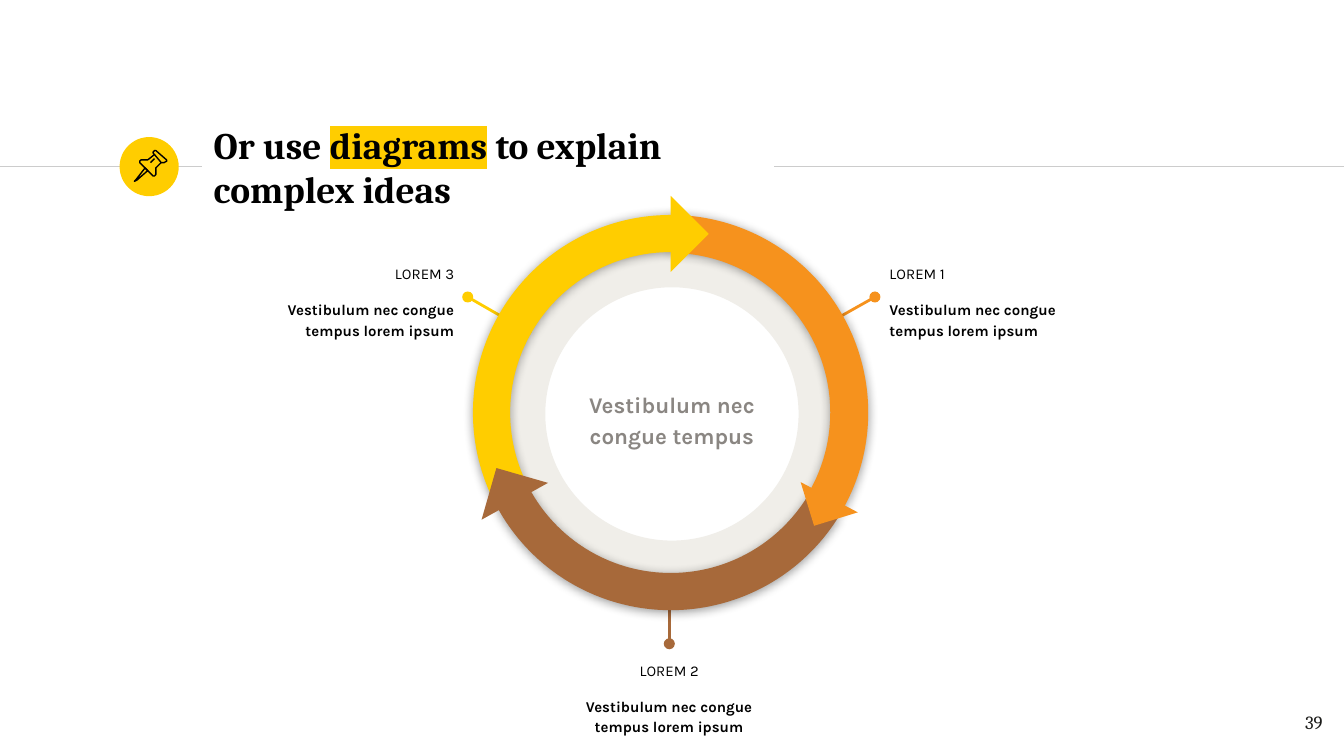
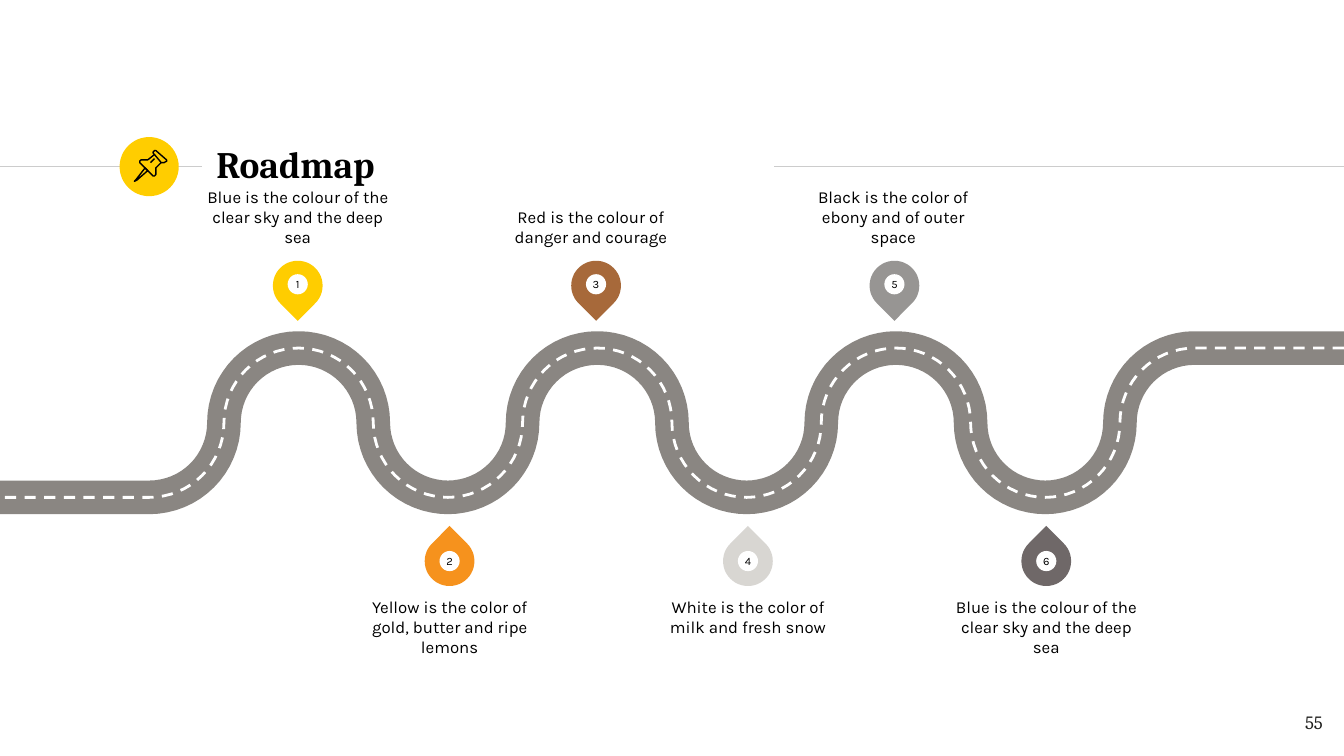
from dataclasses import dataclass
from math import cos, pi, sin
from typing import NamedTuple

from lxml import etree
from pptx import Presentation
from pptx.dml.color import RGBColor
from pptx.enum.dml import MSO_LINE
from pptx.enum.shapes import MSO_CONNECTOR, MSO_SHAPE
from pptx.enum.text import MSO_ANCHOR, MSO_AUTO_SIZE, PP_ALIGN
from pptx.oxml.ns import qn
from pptx.shapes.autoshape import Shape
from pptx.slide import Slide
from pptx.util import Emu, Pt

PX = 9144
WIDTH = 1000
TITLE_ONLY = 5

STRAIGHT = MSO_CONNECTOR.STRAIGHT
OVAL, DONUT = MSO_SHAPE.OVAL, MSO_SHAPE.DONUT
ARC, ARROWHEAD = MSO_SHAPE.BLOCK_ARC, MSO_SHAPE.RIGHT_TRIANGLE
TEARDROP = MSO_SHAPE.TEAR
DASH = MSO_LINE.DASH
TOP, MIDDLE, BOTTOM = MSO_ANCHOR.TOP, MSO_ANCHOR.MIDDLE, MSO_ANCHOR.BOTTOM
LEFT, CENTER, RIGHT = PP_ALIGN.LEFT, PP_ALIGN.CENTER, PP_ALIGN.RIGHT

SERIF, SANS = "Cambria", "Karla"
BLACK, WHITE, INK = "000000", "FFFFFF", "1D1D1B"
YELLOW, ORANGE, BROWN = "FFCD00", "F6921D", "A7693A"
RULE, RING, STONE = "CCCCCC", "F0EEE9", "8A8682"
GRAY, SILVER, SLATE = "979593", "D8D6D2", "6F6868"


class Area(NamedTuple):
    left: int
    top: int
    width: int
    height: int

    def emu(self) -> list[Emu]:
        return [Emu(value * PX) for value in self]


class Span(NamedTuple):
    text: str
    highlight: str | None = None


class Outline(NamedTuple):
    points: list[tuple[float, float]]
    closed: bool


@dataclass(frozen=True)
class Piece:
    kind: MSO_SHAPE
    area: Area
    rotation: float
    color: str
    flipped: bool = False
    adjustments: tuple[float, ...] = ()


@dataclass(frozen=True)
class Callout:
    label: str
    area: Area
    align: PP_ALIGN
    color: str
    dot: tuple[int, int]
    end: tuple[int, int]


@dataclass(frozen=True)
class Stop:
    text: str
    color: str
    pin_left: int
    text_left: int


CYCLE = Area(352, 160, 294, 294)
PIECES = [
    Piece(ARC, CYCLE, 30, ORANGE, adjustments=(144.144, 0.007, 0.096)),
    Piece(ARC, CYCLE, 330, YELLOW, True, (143.486, 214.729, 0.094)),
    Piece(ARROWHEAD, Area(479, 154, 40, 40), 225, YELLOW),
    Piece(ARC, CYCLE, 210, BROWN, True, (143.162, 215.027, 0.094)),
    Piece(ARROWHEAD, Area(600, 353, 34, 34), 342.9, ORANGE),
    Piece(ARROWHEAD, Area(363, 353, 40, 40), 106, BROWN),
]
CALLOUTS = [
    Callout("LOREM 3", Area(184, 185, 164, 73), RIGHT, YELLOW, (348, 221), (395, 248)),
    Callout("LOREM 1", Area(652, 185, 164, 73), LEFT, ORANGE, (651, 221), (603, 248)),
    Callout("LOREM 2", Area(416, 480, 164, 73), CENTER, BROWN, (498, 479), (498, 428)),
]
STOPS = [
    Stop("Blue is the colour of the clear sky and the deep sea", YELLOW, 203, 151),
    Stop("Yellow is the color of gold, butter and ripe lemons", ORANGE, 316, 264),
    Stop("Red is the colour of danger and courage", BROWN, 425, 369),
    Stop("White is the color of milk and fresh snow", SILVER, 538, 486),
    Stop("Black is the color of ebony and of outer space", GRAY, 647, 594),
    Stop("Blue is the colour of the clear sky and the deep sea", SLATE, 760, 708),
]
PUSHPIN = [
    Outline([(108, 125), (101, 134), (100, 135), (102, 134), (110, 127)], True),
    Outline([(115, 115), (120, 121), (122, 121), (124, 120), (124, 119),
             (116, 112), (115, 112), (114, 113), (114, 114)], True),
    Outline([(115, 115), (110, 119), (107, 119), (105, 119), (104, 120), (104, 121),
             (114, 131), (115, 131), (116, 130), (116, 125), (120, 121)], False),
    Outline([(112, 121), (115, 118)], False),
]


def rgb(color: str) -> RGBColor:
    return RGBColor.from_string(color)


def write(para, text: str, *, size: float, color: str = BLACK, font: str = SANS,
          bold: bool = False, highlight: str | None = None, align: PP_ALIGN = LEFT,
          spacing: float | None = None, before: float | None = None) -> None:
    para.alignment = align
    if spacing is not None:
        para.line_spacing = spacing
    if before is not None:
        para.space_before = Pt(before)
    span = para.add_run()
    span.text = text
    span.font.size = Pt(size)
    span.font.name = font
    span.font.bold = bold
    span.font.color.rgb = rgb(color)
    if highlight:
        mark = etree.Element(qn("a:highlight"))
        etree.SubElement(mark, qn("a:srgbClr"), val=highlight)
        span.font._element.find(qn("a:solidFill")).addnext(mark)


def set_frame(box, inset: int, anchor: MSO_ANCHOR):
    frame = box.text_frame
    frame.word_wrap = True
    frame.auto_size = MSO_AUTO_SIZE.NONE
    frame.vertical_anchor = anchor
    frame.margin_left = frame.margin_right = Emu(inset * PX)
    frame.margin_top = frame.margin_bottom = Emu(inset * PX)
    return frame


def add_text(page: Slide, area: Area, inset: int = 10, anchor: MSO_ANCHOR = TOP):
    return set_frame(page.shapes.add_textbox(*area.emu()), inset, anchor)


def add_preset(page: Slide, kind: MSO_SHAPE, area: Area, color: str,
               rotation: float = 0, adjustments: tuple[float, ...] = ()) -> Shape:
    shape = page.shapes.add_shape(kind, *area.emu())
    shape.shadow.inherit = False
    shape.fill.solid()
    shape.fill.fore_color.rgb = rgb(color)
    shape.line.fill.background()
    shape.rotation = rotation
    for index, value in enumerate(adjustments):
        shape.adjustments[index] = value
    return shape


def add_line(page: Slide, start: tuple[int, int], end: tuple[int, int],
             color: str, width: float, dotted_start: bool = False) -> None:
    line = page.shapes.add_connector(STRAIGHT, *(Emu(value * PX) for value in start + end))
    line.line.color.rgb = rgb(color)
    line.line.width = Pt(width)
    properties = line._element.spPr
    if dotted_start:
        etree.SubElement(properties.find(qn("a:ln")), qn("a:headEnd"), type="oval")
    etree.SubElement(properties, qn("a:effectLst"))


def add_outline(page: Slide, outline: Outline, color: str, width: float) -> Shape:
    points = [(x * PX, y * PX) for x, y in outline.points]
    builder = page.shapes.build_freeform(*points[0], scale=1.0)
    builder.add_line_segments(points[1:], close=outline.closed)
    shape = builder.convert_to_shape()
    shape.shadow.inherit = False
    shape.fill.background()
    shape.line.color.rgb = rgb(color)
    shape.line.width = Pt(width)
    return shape


def add_page(deck, title: list[Span], title_area: Area, number: str) -> Slide:
    page = deck.slides.add_slide(deck.slide_layouts[TITLE_ONLY])
    add_line(page, (0, 124), (150, 124), RULE, 0.75)
    add_preset(page, OVAL, Area(89, 102, 44, 44), YELLOW)
    add_line(page, (576, 124), (WIDTH, 124), RULE, 0.75)
    for outline in PUSHPIN:
        add_outline(page, outline, BLACK, 0.75)
    heading = page.shapes.title
    heading.left, heading.top, heading.width, heading.height = title_area.emu()
    para = set_frame(heading, 10, MIDDLE).paragraphs[0]
    for span in title:
        write(para, span.text, size=20, font=SERIF, bold=True, highlight=span.highlight)
    footer = add_text(page, Area(934, 519, 60, 43))
    write(footer.paragraphs[0], number, size=10, font=SERIF, color=INK, align=RIGHT)
    return page


def add_shadow(shape: Shape) -> None:
    effects = shape._element.spPr.find(qn("a:effectLst"))
    shadow = etree.SubElement(effects, qn("a:outerShdw"), blurRad=str(Pt(5.6)),
                              dist=str(Pt(0.8)), dir="5400000", rotWithShape="0")
    tint = etree.SubElement(shadow, qn("a:srgbClr"), val=BLACK)
    etree.SubElement(tint, qn("a:alpha"), val="40000")


def add_piece(page: Slide, piece: Piece) -> None:
    shape = add_preset(page, piece.kind, piece.area, piece.color,
                       piece.rotation, piece.adjustments)
    if piece.flipped:
        shape._element.spPr.find(qn("a:xfrm")).set("flipH", "1")
    if piece.kind == ARC:
        add_shadow(shape)


def add_callout(page: Slide, callout: Callout) -> None:
    add_line(page, callout.dot, callout.end, callout.color, 1.5, dotted_start=True)
    frame = add_text(page, callout.area)
    write(frame.paragraphs[0], callout.label, size=8, align=callout.align, spacing=1.15)
    write(frame.add_paragraph(), "Vestibulum nec congue tempus lorem ipsum", size=8,
          bold=True, align=callout.align, spacing=1.15, before=8.4)


def build_diagram(deck) -> None:
    title = [Span("Or use "), Span("diagrams", YELLOW), Span(" to explain complex ideas")]
    page = add_page(deck, title, Area(149, 100, 425, 48), "39")
    add_preset(page, DONUT, Area(361, 169, 278, 278), RING, adjustments=(0.161,))
    for callout in CALLOUTS:
        add_callout(page, callout)
    core = add_text(page, Area(421, 267, 158, 88), anchor=MIDDLE)
    write(core.paragraphs[0], "Vestibulum nec congue tempus", size=12, color=STONE,
          bold=True, align=CENTER, spacing=1.15)
    for piece in PIECES:
        add_piece(page, piece)


def road_outline(bends: int = 7, steps: int = 16) -> Outline:
    radius = WIDTH / 18
    middle = 259 + radius
    angles = [step * pi / 2 / steps for step in range(steps + 1)]
    points = [(0, middle + radius)]
    for bend in range(bends):
        start = 2 * radius * (bend + 1)
        side = radius if bend % 2 == 0 else -radius
        points += [(start + radius * sin(a), middle + side * cos(a)) for a in angles]
        points += [(start + radius * (2 - cos(a)), middle - side * sin(a))
                   for a in angles[1:]]
    points.append((WIDTH, middle - radius))
    return Outline(points[::-1], False)


def add_stop(page: Slide, number: int, stop: Stop) -> None:
    above = number % 2 == 1
    pin_top, disc_top, text_top = (194, 204, 126) if above else (399, 410, 444)
    add_preset(page, TEARDROP, Area(stop.pin_left, pin_top, 37, 37), stop.color,
               rotation=135 if above else 315, adjustments=(1,))
    disc = add_preset(page, OVAL, Area(stop.pin_left + 11, disc_top, 15, 15), WHITE)
    write(set_frame(disc, 0, MIDDLE).paragraphs[0], str(number), size=6, align=CENTER)
    frame = add_text(page, Area(stop.text_left, text_top, 141, 58), 0,
                     BOTTOM if above else TOP)
    write(frame.paragraphs[0], stop.text, size=9, align=CENTER)


def build_roadmap(deck) -> None:
    page = add_page(deck, [Span("Roadmap")], Area(151, 98, 424, 48), "55")
    road = road_outline()
    add_outline(page, road, STONE, 18)
    add_outline(page, road, WHITE, 1.5).line.dash_style = DASH
    for number, stop in enumerate(STOPS, 1):
        add_stop(page, number, stop)


def main() -> None:
    deck = Presentation()
    deck.slide_width = Emu(WIDTH * PX)
    deck.slide_height = Emu(WIDTH * PX * 9 // 16)
    build_diagram(deck)
    build_roadmap(deck)
    deck.save("out.pptx")


if __name__ == "__main__":
    main()
